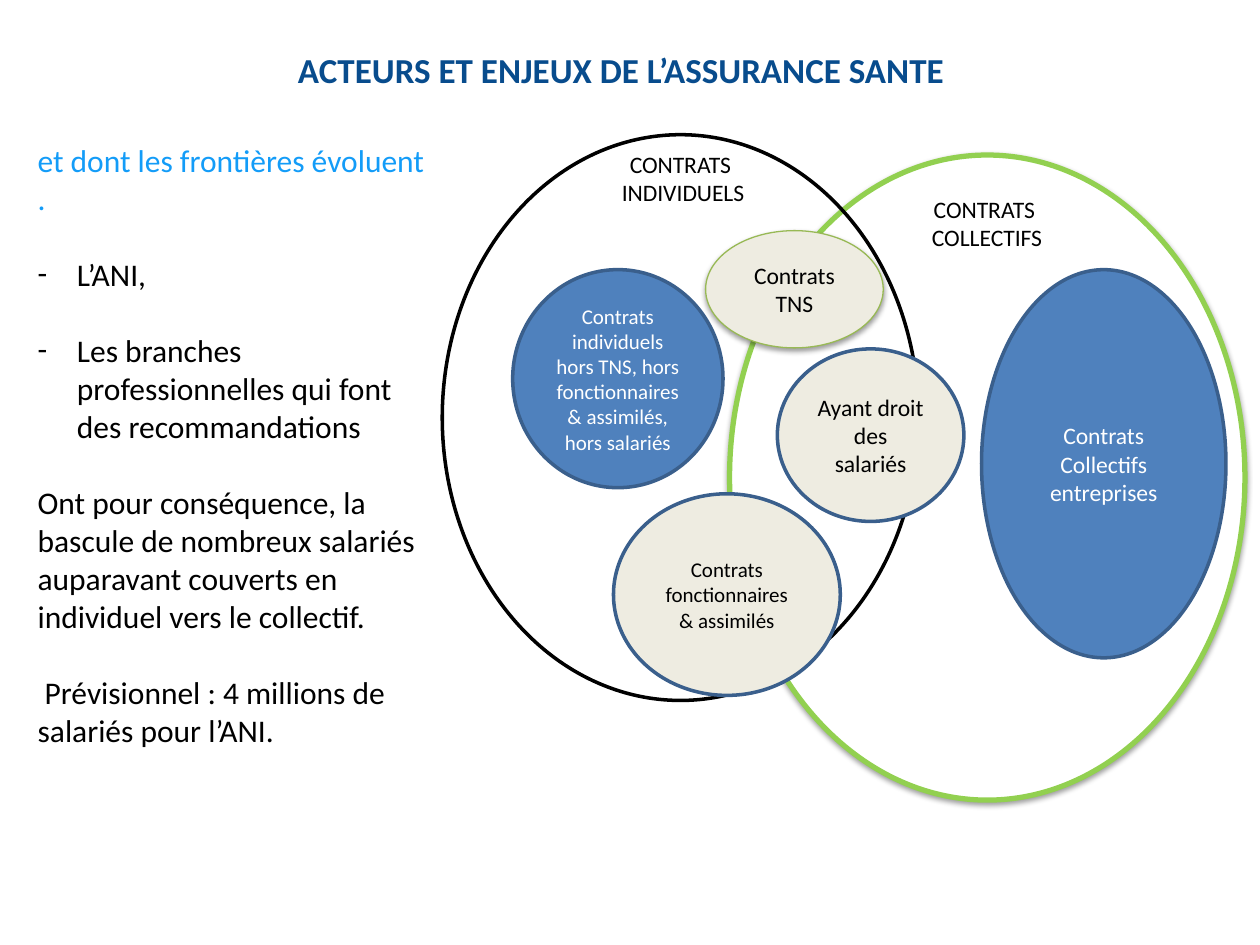
"""Build the slide on the players and stakes of health insurance."""
from lxml import etree
from pptx import Presentation
from pptx.dml.color import RGBColor
from pptx.enum import shapes, text
from pptx.oxml import ns
from pptx.util import Pt

THEME = {
    "font": "Calibri", "ink": "000000", "white": "FFFFFF", "title": "084C8D",
    "lead": "139CF8", "blue": "4F81BD", "edge": "3A5F8C", "sand": "EEECE1",
    "green": "92D050", "moss": "98B955",
    "head": 20, "body": 18, "label": 13.5, "small": 12,
}

TITLE = "ACTEURS ET ENJEUX DE L’ASSURANCE SANTE"
# text, colour, bulleted
BODY = [
    ("et dont les frontières évoluent .", "lead", False),
    ("L’ANI,", "ink", True),
    ("Les branches professionnelles qui font des recommandations", "ink", True),
    ("Ont pour conséquence, la bascule de nombreux salariés auparavant "
     "couverts en individuel vers le collectif.", "ink", False),
    (" Prévisionnel : 4 millions de salariés pour l’ANI.", "ink", False),
]
# box, fill, line, line width, shadow
RINGS = [
    ((416.9, 88.6, 294.5, 368.6), "white", "green", 3, True),
    ((252.7, 77, 272.2, 323.3), None, "ink", 2, False),
]
LABELS = [
    (("CONTRATS ", "COLLECTIFS"), (504, 111.5, 120, 33)),
    (("CONTRATS", " INDIVIDUELS"), (328.8, 85.5, 120, 33)),
]
# text, box, fill, line, line width, shadow, text colour, text size
DISCS = [
    ("Contrats TNS", (403.2, 131.8, 101.5, 67),
     "sand", "moss", 0.75, True, "ink", "label"),
    ("Contrats individuels hors TNS, hors fonctionnaires & assimilés, hors salariés",
     (293, 154.1, 120.2, 124.6), "blue", "edge", 2, False, "white", "small"),
    ("Contrats fonctionnaires & assimilés", (350.6, 282.2, 129.6, 115.2),
     "sand", "edge", 2, False, "ink", "small"),
    ("Contrats Collectifs entreprises", (560.9, 154.1, 139.7, 221.8),
     "blue", "edge", 2, False, "white", "label"),
    ("Ayant droit des salariés", (444.2, 199.4, 106.6, 98.6),
     "sand", "edge", 2, False, "ink", "label"),
]


def tint(name):
    return RGBColor.from_string(THEME[name])


def write(para, words, size="label", color="ink", bold=False, mid=True, gap=0):
    para.alignment = text.PP_ALIGN.CENTER if mid else text.PP_ALIGN.LEFT
    para.space_before = Pt(gap)
    run = para.add_run()
    run.text = words
    font = run.font
    font.name, font.size, font.bold = THEME["font"], Pt(THEME[size]), bold
    font.color.rgb = tint(color)


def dash(para, hang=22.5):
    props = para._p.get_or_add_pPr()
    props.set("marL", str(Pt(hang)))
    props.set("indent", str(-Pt(hang)))
    etree.SubElement(props, ns.qn("a:buFont"), typeface=THEME["font"])
    etree.SubElement(props, ns.qn("a:buChar"), char="-")


def shade(shape):
    fx = shape._element.spPr.find(ns.qn("a:effectLst"))
    cast = etree.SubElement(fx, ns.qn("a:outerShdw"), blurRad=str(Pt(3.1)),
                            dist=str(Pt(1.6)), dir="5400000", rotWithShape="0")
    hue = etree.SubElement(cast, ns.qn("a:srgbClr"), val=THEME["ink"])
    etree.SubElement(hue, ns.qn("a:alpha"), val="38000")


def disc(slide, box, fill, line, width, cast):
    shape = slide.shapes.add_shape(shapes.MSO_SHAPE.OVAL, *map(Pt, box))
    shape.shadow.inherit = False
    if fill:
        shape.fill.solid()
        shape.fill.fore_color.rgb = tint(fill)
    else:
        shape.fill.background()
    shape.line.color.rgb = tint(line)
    shape.line.width = Pt(width)
    if cast:
        shade(shape)
    frame = shape.text_frame
    frame.word_wrap = True
    frame.vertical_anchor = text.MSO_ANCHOR.MIDDLE
    return frame


def area(slide, box, anchor=text.MSO_ANCHOR.TOP):
    frame = slide.shapes.add_textbox(*map(Pt, box)).text_frame
    frame.word_wrap = True
    frame.vertical_anchor = anchor
    return frame


def lines(frame, items):
    for i, item in enumerate(items):
        yield (frame.add_paragraph() if i else frame.paragraphs[0]), i, item


def main():
    deck = Presentation()
    deck.slide_width, deck.slide_height = Pt(720), Pt(540)
    slide = deck.slides.add_slide(deck.slide_layouts[6])

    for ring in RINGS:
        disc(slide, *ring)
    for words, box in LABELS:
        frame = area(slide, box)
        frame.margin_top = frame.margin_bottom = 0
        for para, _, line in lines(frame, words):
            write(para, line)
    for words, *look, color, size in DISCS:
        write(disc(slide, *look).paragraphs[0], words, size=size, color=color)

    head = area(slide, (31, 11.5, 648, 43.9), text.MSO_ANCHOR.BOTTOM)
    write(head.paragraphs[0], TITLE, size="head", color="title", bold=True)
    side = area(slide, (14.4, 77, 238.3, 399.6))
    for para, i, (words, color, mark) in lines(side, BODY):
        write(para, words, size="body", color=color, mid=False, gap=22 if i else 0)
        if mark:
            dash(para)

    deck.save("out.pptx")


if __name__ == "__main__":
    main()
